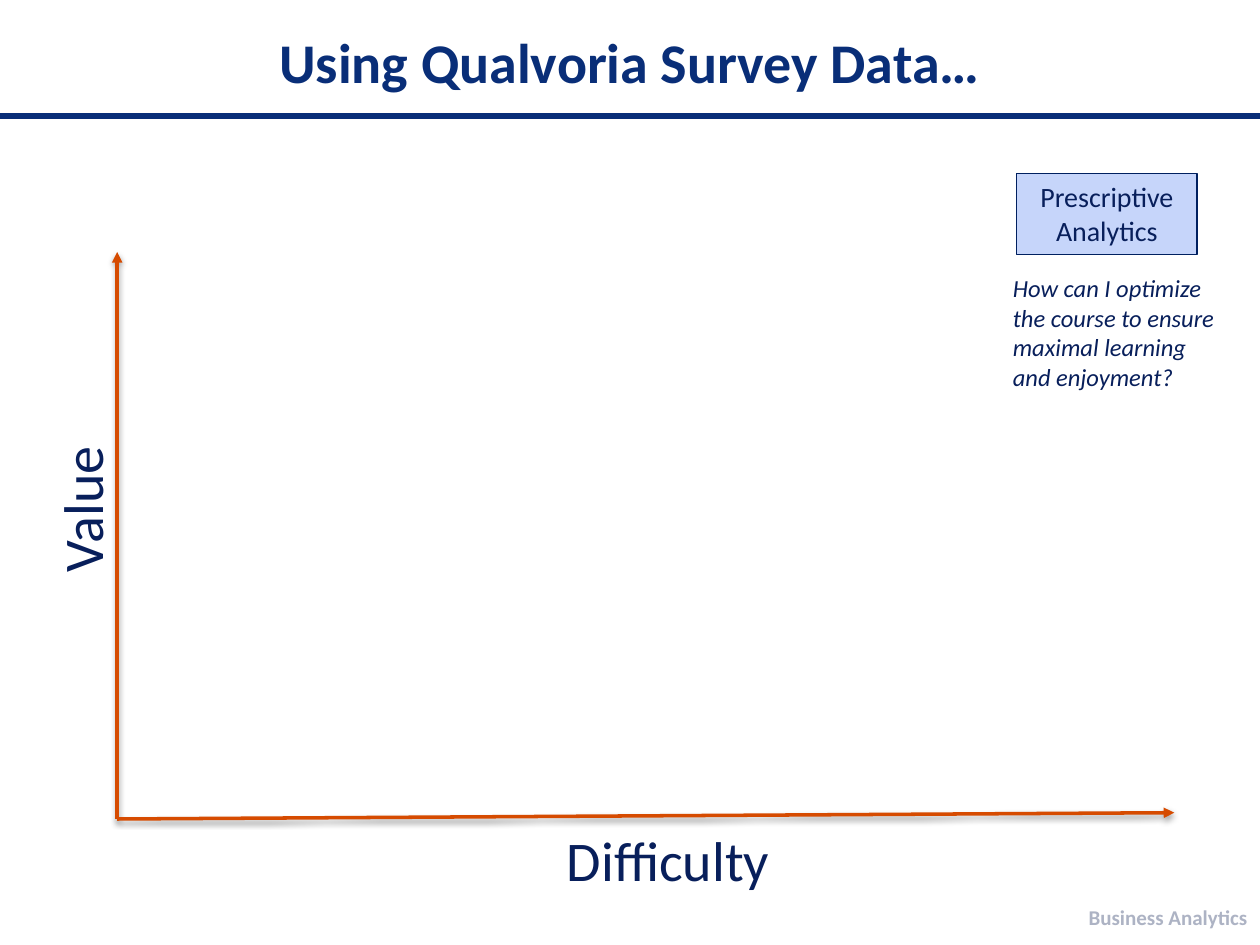
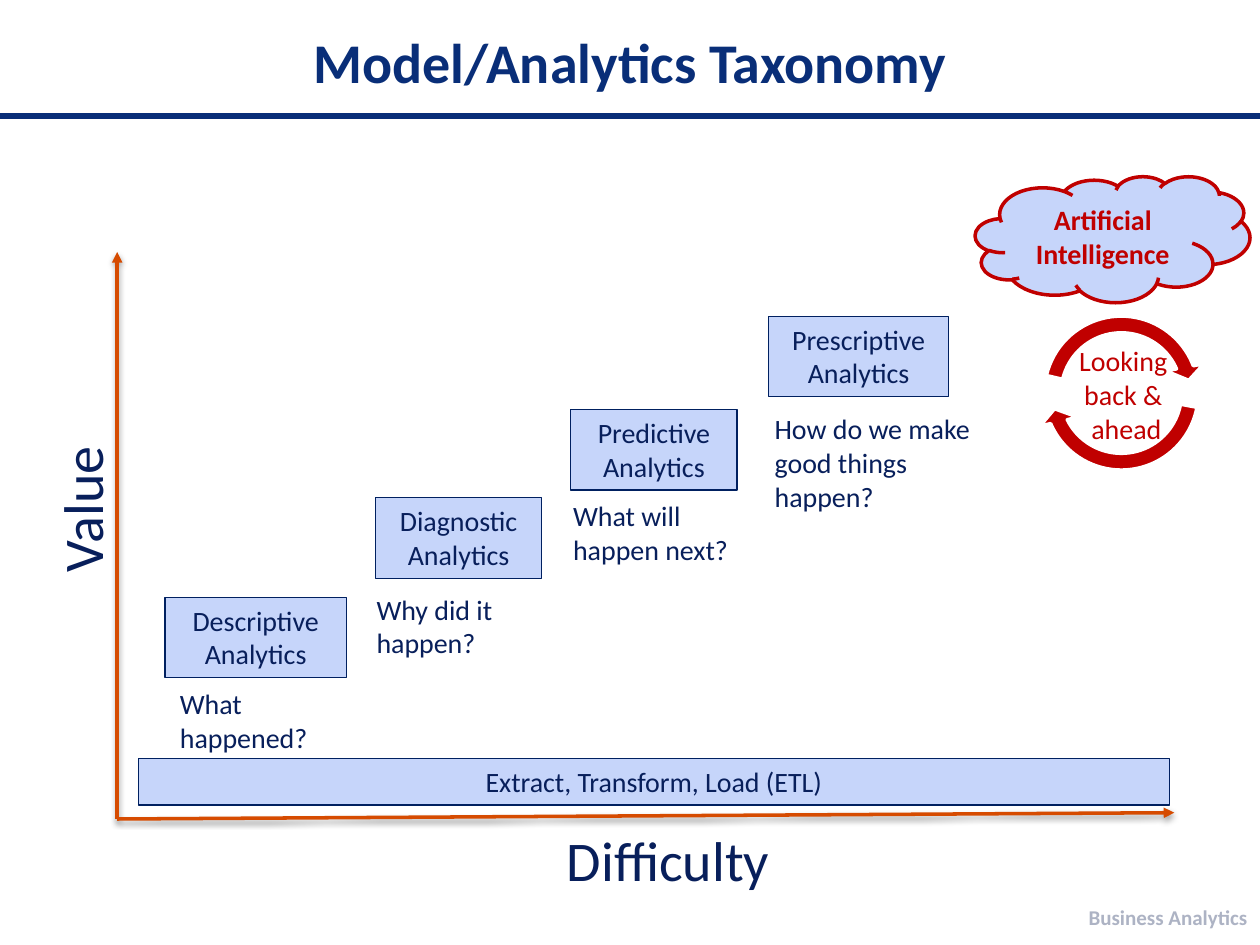
from lxml.etree import SubElement
from pptx import Presentation
from pptx.dml.color import RGBColor
from pptx.enum.shapes import MSO_CONNECTOR, MSO_SHAPE
from pptx.enum.text import MSO_ANCHOR, MSO_AUTO_SIZE, PP_ALIGN
from pptx.oxml.ns import qn
from pptx.util import Inches, Pt

NAVY, INK, EDGE = "092E78", "081F5B", "002060"
PALE, RED, RUST, GREY = "C6D5FA", "C00000", "D64B00", "ADB3C4"
MID, LEFT, RIGHT = PP_ALIGN.CENTER, PP_ALIGN.LEFT, PP_ALIGN.RIGHT


def rgb(code):
    return RGBColor.from_string(code)


def put(slide, text, box, kind=None, fill=PALE, line=EDGE, width=0.75,
        size=16, color=INK, bold=False, italic=False, align=LEFT,
        middle=False, wrap=True, turn=0):
    """Add text in a plain box, or in a preset shape if kind is given."""
    area = [Inches(n) for n in box]
    if kind is None:
        shape = slide.shapes.add_textbox(*area)
    else:
        shape = slide.shapes.add_shape(kind, *area)
        shape.shadow.inherit = False
        shape.fill.solid()
        shape.fill.fore_color.rgb = rgb(fill)
        shape.line.color.rgb = rgb(line)
        shape.line.width = Pt(width)
    shape.rotation = turn
    if not text:
        return shape
    frame = shape.text_frame
    frame.word_wrap = wrap
    frame.vertical_anchor = MSO_ANCHOR.MIDDLE if middle else MSO_ANCHOR.TOP
    frame.auto_size = MSO_AUTO_SIZE.NONE if middle else MSO_AUTO_SIZE.SHAPE_TO_FIT_TEXT
    para = frame.paragraphs[0]
    para.text = text
    para.alignment = align
    for run in para.runs:
        font = run.font
        font.name, font.size, font.color.rgb = "Calibri", Pt(size), rgb(color)
        font.bold, font.italic = bold, italic
    return shape


deck = Presentation()
deck.slide_width, deck.slide_height = Inches(10), Inches(7.5)
slides = []

# Shared frame: rule, footer, title and axes
for title in ("Using Qualvoria Survey Data…", "Model/Analytics Taxonomy"):
    slide = deck.slides.add_slide(deck.slide_layouts[6])
    slides.append(slide)
    lines = [(0, 0.92, 10, 0.92, NAVY, 3),
             (0.93, 6.5, 0.93, 2, RUST, 2),
             (0.93, 6.5, 9.32, 6.45, RUST, 2)]
    for *ends, color, width in lines:
        rule = slide.shapes.add_connector(
            MSO_CONNECTOR.STRAIGHT, *[Inches(n) for n in ends])
        rule.line.color.rgb = rgb(color)
        rule.line.width = Pt(width)
        props = rule.line._get_or_add_ln()
        glow = SubElement(rule._element.spPr, qn("a:effectLst"))
        if color == RUST:
            SubElement(props, qn("a:tailEnd"), type="triangle")
            shade = SubElement(glow, qn("a:outerShdw"), blurRad="40000",
                               dist="20000", dir="5400000", rotWithShape="0")
            black = SubElement(shade, qn("a:srgbClr"), val="000000")
            SubElement(black, qn("a:alpha"), val="38000")
    put(slide, "Business Analytics", (7.33, 7.08, 2.67, 0.4), size=12,
        color=GREY, bold=True, align=RIGHT, middle=True)
    put(slide, title, (0.5, 0.17, 9, 0.63), size=32, color=NAVY, bold=True,
        align=MID, middle=True)
    put(slide, "Value", (-0.05, 3.62, 1.4, 0.64), size=32, turn=270)
    put(slide, "Difficulty", (4.4, 6.5, 3.39, 0.64), size=32)

survey, model = slides
RECT = MSO_SHAPE.RECTANGLE

# Survey: the top step and its question
put(survey, "Prescriptive Analytics", (8.07, 1.38, 1.43, 0.64), RECT, align=MID)
put(survey, "How can I optimize the course to ensure maximal learning and enjoyment?",
    (7.94, 2.12, 1.9, 1.04), size=14, italic=True)

# Taxonomy: four rising steps, each with a question below
steps = [
    ("Descriptive", (1.31, 4.74, 1.44), "What happened?", (1.33, 5.4, 1.4, 0.64)),
    ("Diagnostic", (2.98, 3.95, 1.32), "Why did it happen?", (2.89, 4.65, 1.4, 0.64)),
    ("Predictive", (4.53, 3.25, 1.32), "What will happen next?", (4.45, 3.91, 1.65, 0.64)),
    ("Prescriptive", (6.1, 2.51, 1.43), "How do we make good things happen?",
     (6.05, 3.22, 1.94, 0.91)),
]
for name, place, ask, spot in steps:
    put(model, f"{name} Analytics", (*place, 0.64), RECT, align=MID)
    put(model, ask, spot)
put(model, "Extract, Transform, Load (ETL)", (1.1, 6.02, 8.18, 0.37), RECT, align=MID)

# Cloud and cycle
put(model, "Artificial Intelligence", (7.74, 1.4, 2.18, 1), MSO_SHAPE.CLOUD,
    line=RED, width=2, color=RED, bold=True, align=MID, middle=True)
for end, start in ((93.235, 6.382), (202.762, 115.909)):
    arc = put(model, "", (8.2, 2.42, 1.4, 1.4), MSO_SHAPE.CIRCULAR_ARROW,
              fill=RED, line="FFFFFF", width=2)
    for i, value in enumerate((0.095, 6.856, end, start, 0.111)):
        arc.adjustments[i] = value
put(model, "Looking \vback & \vahead", (8.46, 2.68, 0.96, 0.91), color=RED,
    align=MID, wrap=False)

deck.save("out.pptx")
